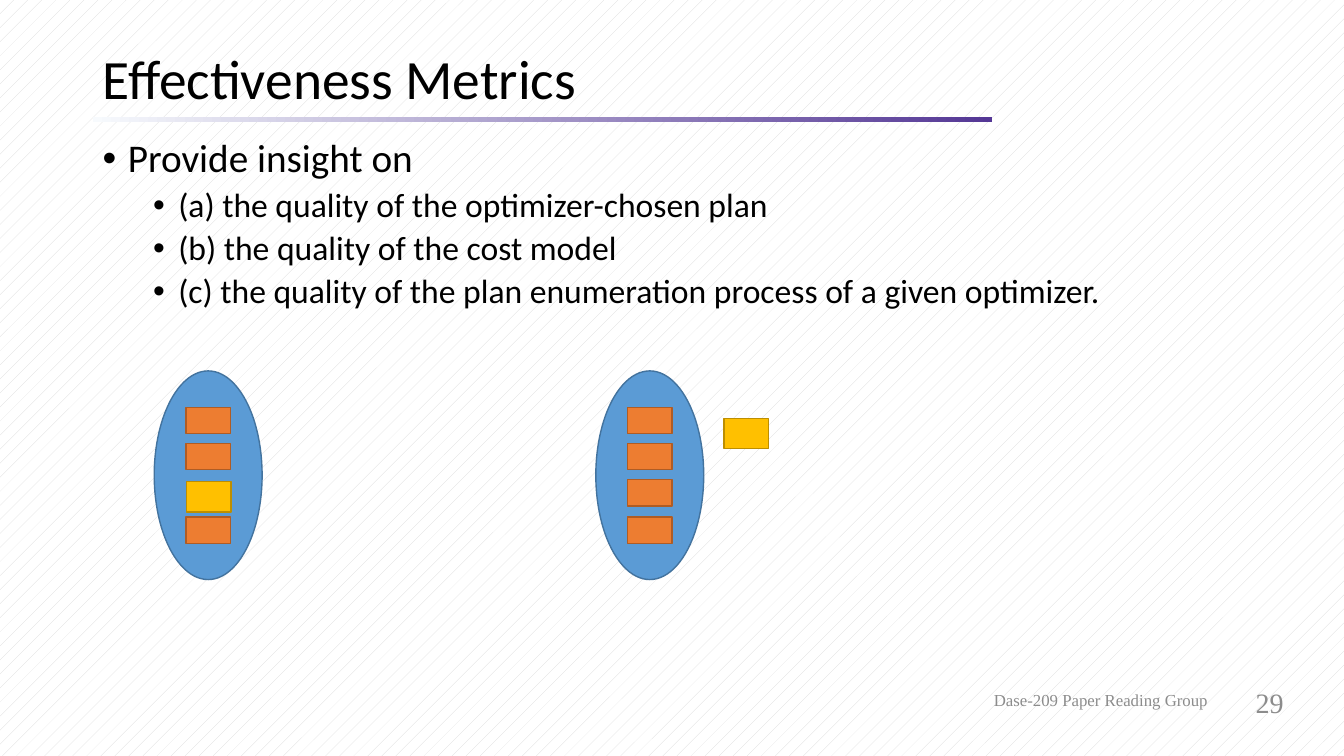
from dataclasses import dataclass

from lxml.etree import SubElement
from pptx import Presentation
from pptx.dml.color import RGBColor
from pptx.enum.dml import MSO_PATTERN
from pptx.enum.shapes import MSO_SHAPE
from pptx.enum.text import MSO_ANCHOR, MSO_AUTO_SIZE, PP_ALIGN
from pptx.oxml.ns import qn
from pptx.util import Inches, Pt


@dataclass(frozen=True)
class Theme:
    font: str = "Calibri"
    footer_font: str = "Times New Roman"
    text: str = "000000"
    footer: str = "8C8C8C"
    background: str = "FFFFFF"
    pattern: str = "D9D9D9"
    rule_start: str = "F7FAFD"
    rule_end: str = "543795"
    space: tuple = ("5B9BD5", "43739E")
    plan: tuple = ("ED7D31", "AF5C24")
    best_plan: tuple = ("FFC000", "BD8E00")
    title_size: float = 39.6
    body_size: float = 28
    detail_size: float = 24
    number_size: float = 20
    footer_size: float = 12


THEME = Theme()
LEFT, WIDTH = 0.92, 11.5
PLAN_WIDTH, PLAN_HEIGHT, BEST_HEIGHT = 0.44, 0.26, 0.3
DETAILS = (
    "(a) the quality of the optimizer-chosen plan",
    "(b) the quality of the cost model",
    "(c) the quality of the plan enumeration process of a given optimizer.",
)


def color(value):
    return RGBColor.from_string(value)


def write(paragraph, text, *, size, font=THEME.font, fill=THEME.text,
          align=PP_ALIGN.LEFT, line_spacing=1.0, before=0):
    paragraph.alignment = align
    paragraph.line_spacing = line_spacing
    paragraph.space_before = Pt(before)
    run = paragraph.add_run()
    run.text = text
    run.font.name = font
    run.font.size = Pt(size)
    run.font.color.rgb = color(fill)


def place(shape, left, top, width, height):
    shape.left, shape.top = Inches(left), Inches(top)
    shape.width, shape.height = Inches(width), Inches(height)


def add_text_frame(slide, left, top, width, height, anchor=MSO_ANCHOR.TOP):
    box = slide.shapes.add_textbox(
        Inches(left), Inches(top), Inches(width), Inches(height))
    box.text_frame.word_wrap = True
    box.text_frame.vertical_anchor = anchor
    return box.text_frame


def add_bullet(paragraph, text, *, level, size, before):
    paragraph.level = level
    write(paragraph, text, size=size, line_spacing=0.9, before=before)
    properties = paragraph._p.get_or_add_pPr()
    properties.set("marL", str(Inches(0.25 + 0.5 * level)))
    properties.set("indent", str(Inches(-0.25)))
    SubElement(properties, qn("a:buFont")).set("typeface", "Arial")
    SubElement(properties, qn("a:buChar")).set("char", "•")


def add_filled_shape(slide, kind, left, top, width, height, colors):
    fill, line = colors
    shape = slide.shapes.add_shape(
        kind, Inches(left), Inches(top), Inches(width), Inches(height))
    shape.shadow.inherit = False
    shape.fill.solid()
    shape.fill.fore_color.rgb = color(fill)
    shape.line.color.rgb = color(line)
    shape.line.width = Pt(1)


def add_plan_space(slide, left, plan_tops, best_left, best_top):
    """Draw an ellipse of enumerated plans and the best plan in or beside it."""
    add_filled_shape(slide, MSO_SHAPE.OVAL, left, 3.68, 1.07, 2.07, THEME.space)
    for top in plan_tops:
        add_filled_shape(slide, MSO_SHAPE.RECTANGLE, left + 0.315, top,
                         PLAN_WIDTH, PLAN_HEIGHT, THEME.plan)
    add_filled_shape(slide, MSO_SHAPE.RECTANGLE, best_left, best_top,
                     PLAN_WIDTH, BEST_HEIGHT, THEME.best_plan)


def set_background(slide):
    fill = slide.background.fill
    fill.patterned()
    fill.pattern = MSO_PATTERN.PERCENT_5
    fill.fore_color.rgb = color(THEME.pattern)
    fill.back_color.rgb = color(THEME.background)


def add_title_rule(slide):
    rule = slide.shapes.add_shape(
        MSO_SHAPE.RECTANGLE, Inches(LEFT), Inches(1.16), Inches(8.92), Inches(0.05))
    rule.shadow.inherit = False
    rule.line.fill.background()
    rule.fill.gradient()
    rule.fill.gradient_angle = 0
    for stop, value in zip(rule.fill.gradient_stops,
                           (THEME.rule_start, THEME.rule_end)):
        stop.color.rgb = color(value)


def set_title(slide, text):
    title = slide.shapes.title
    place(title, LEFT, 0.43, WIDTH, 0.75)
    title.text_frame.auto_size = MSO_AUTO_SIZE.NONE
    title.text_frame.vertical_anchor = MSO_ANCHOR.MIDDLE
    write(title.text_frame.paragraphs[0], text,
          size=THEME.title_size, line_spacing=0.9)


def add_body(slide):
    frame = add_text_frame(slide, LEFT, 1.33, WIDTH, 5.43)
    add_bullet(frame.paragraphs[0], "Provide insight on",
               level=0, size=THEME.body_size, before=10)
    for detail in DETAILS:
        add_bullet(frame.add_paragraph(), detail,
                   level=1, size=THEME.detail_size, before=5)


def add_footer(slide, text, left, width, height, size):
    frame = add_text_frame(slide, left, 6.81, width, height, MSO_ANCHOR.MIDDLE)
    write(frame.paragraphs[0], text, size=size, font=THEME.footer_font,
          fill=THEME.footer, align=PP_ALIGN.RIGHT)


def main():
    presentation = Presentation()
    presentation.slide_width, presentation.slide_height = Inches(13.33), Inches(7.5)
    slide = presentation.slides.add_slide(presentation.slide_layouts[5])
    set_background(slide)
    add_title_rule(slide)
    set_title(slide, "Effectiveness Metrics")
    add_body(slide)
    add_footer(slide, "29", 9.83, 3, 0.32, THEME.number_size)
    add_footer(slide, "Dase-209 Paper Reading Group", 7.58, 4.5, 0.26,
               THEME.footer_size)
    add_plan_space(slide, 1.53, (4.04, 4.4, 5.13), best_left=1.85, best_top=4.78)
    add_plan_space(slide, 5.91, (4.04, 4.4, 4.76, 5.13),
                   best_left=7.18, best_top=4.15)
    presentation.save("out.pptx")


if __name__ == "__main__":
    main()
